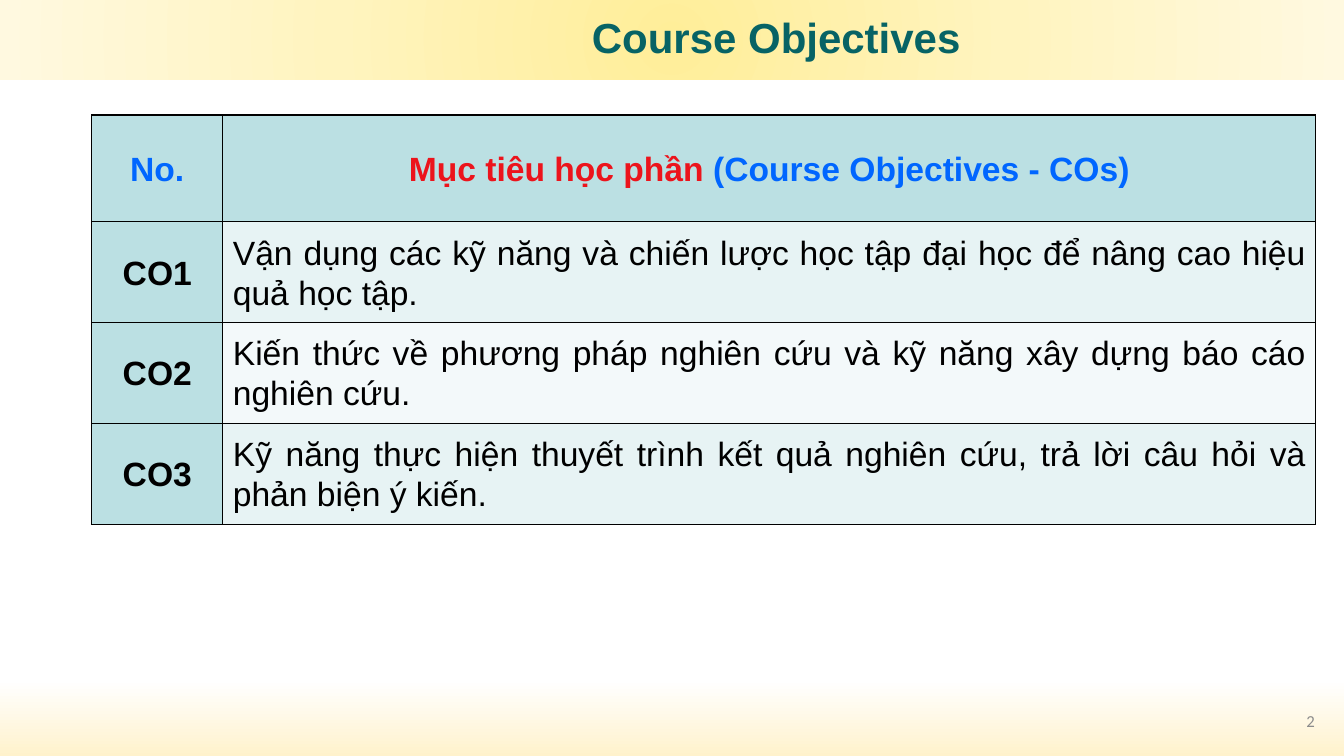
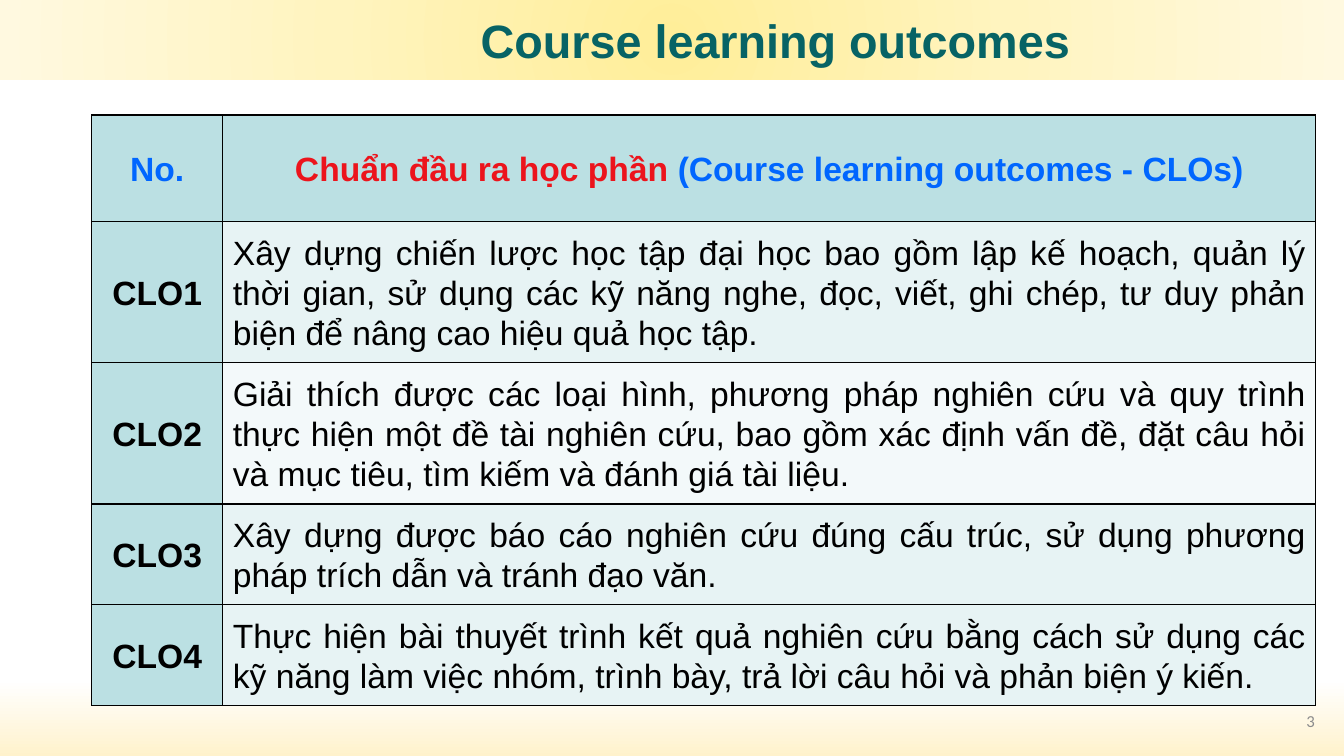
from dataclasses import dataclass

import pptx
import pptx.dml.color
import pptx.enum.shapes
import pptx.enum.text
import pptx.oxml
import pptx.oxml.ns
import pptx.util
from lxml import etree
from pptx.util import Inches

ALIGN = pptx.enum.text.PP_ALIGN
MIDDLE = pptx.enum.text.MSO_ANCHOR.MIDDLE
qn = pptx.oxml.ns.qn

# Shared colours
TEAL, BLUE, RED, BLACK, GREY = "076365", "0066FF", "EC141C", "000000", "8C8C8C"
HEADER_FILL, ROW_FILL, ALT_ROW_FILL = "BBE0E3", "E7F3F4", "F3F9FA"
BAND_STOPS = [(0, "FFEE99"), (50, "FFF4BF"), (100, "FFF9E0")]
PAGE_STOPS = [(90, "FFFFFF"), (100, "FFF2CC")]

# Shared table layout
COLUMN_WIDTHS = (1.3, 10.84)
HEADER_HEIGHT = 1.06
TWO_LINES, THREE_LINES = 1.0, 1.4


@dataclass
class Box:
    left: float
    top: float
    width: float
    height: float

    def lengths(self) -> tuple:
        return tuple(map(Inches, (self.left, self.top, self.width, self.height)))


@dataclass
class Run:
    text: str
    color: str = BLACK


@dataclass
class Style:
    size: float
    bold: bool = False
    font: str = "Arial"
    align: ALIGN = ALIGN.CENTER
    spacing: float = 1.0


@dataclass
class Row:
    code: str
    statement: str
    fill: str = ROW_FILL
    height: float = TWO_LINES


@dataclass
class Page:
    number: int
    title: str
    title_box: Box
    title_style: Style
    vietnamese: str
    english: str
    rows: list[Row]


LABEL = Style(24, bold=True, spacing=1.07)
STATEMENT = Style(24, align=ALIGN.JUSTIFY, spacing=1.07)
PAGE_NUMBER = Style(12, font="Calibri", align=ALIGN.RIGHT)


def rgb(color: str) -> pptx.dml.color.RGBColor:
    return pptx.dml.color.RGBColor.from_string(color)


def set_gradient(fill, owner, stops: list, direction: str) -> None:
    """Fill with gradient stops; direction is the a:lin or a:path element."""
    fill.gradient()
    gradient = owner.find(".//" + qn("a:gradFill"))
    for child in list(gradient):
        gradient.remove(child)
    stop_list = etree.SubElement(gradient, qn("a:gsLst"))
    for position, color in stops:
        stop = etree.SubElement(stop_list, qn("a:gs"), pos=str(position * 1000))
        etree.SubElement(stop, qn("a:srgbClr"), val=color)
    gradient.append(pptx.oxml.parse_xml(direction))


def write(frame, runs: list[Run], style: Style) -> None:
    paragraph = frame.paragraphs[0]
    paragraph.alignment = style.align
    paragraph.line_spacing = style.spacing
    paragraph.font.size = pptx.util.Pt(style.size)
    paragraph.font.name = style.font
    paragraph.font.bold = style.bold
    if len(runs) == 1:
        paragraph.font.color.rgb = rgb(runs[0].color)
    for part in runs:
        run = paragraph.add_run()
        run.text = part.text
        if len(runs) > 1:
            run.font.color.rgb = rgb(part.color)


def add_text(slide, box: Box, run: Run, style: Style) -> None:
    frame = slide.shapes.add_textbox(*box.lengths()).text_frame
    frame.word_wrap = True
    frame.vertical_anchor = MIDDLE
    write(frame, [run], style)


def fill_cell(cell, runs: list[Run], style: Style, fill: str, inset: float) -> None:
    cell.vertical_anchor = MIDDLE
    cell.margin_left = cell.margin_right = Inches(inset)
    cell.margin_top = cell.margin_bottom = Inches(inset / 2)
    properties = cell._tc.get_or_add_tcPr()
    for side in ("lnL", "lnR", "lnT", "lnB"):
        line = etree.SubElement(properties, qn(f"a:{side}"), w=str(pptx.util.Pt(1)))
        solid = etree.SubElement(line, qn("a:solidFill"))
        etree.SubElement(solid, qn("a:srgbClr"), val=BLACK)
    cell.fill.solid()
    cell.fill.fore_color.rgb = rgb(fill)
    write(cell.text_frame, runs, style)


def add_outcome_table(slide, page: Page) -> None:
    heights = [HEADER_HEIGHT, *(row.height for row in page.rows)]
    box = Box(0.91, 1.14, sum(COLUMN_WIDTHS), sum(heights))
    table = slide.shapes.add_table(len(heights), 2, *box.lengths()).table
    table.first_row = table.horz_banding = False
    for column, width in zip(table.columns, COLUMN_WIDTHS):
        column.width = Inches(width)
    for table_row, height in zip(table.rows, heights):
        table_row.height = Inches(height)

    heading = [Run(page.vietnamese + " ", RED), Run(page.english, BLUE)]
    fill_cell(table.cell(0, 0), [Run("No.", BLUE)], LABEL, HEADER_FILL, 0)
    fill_cell(table.cell(0, 1), heading, LABEL, HEADER_FILL, 0)
    for index, row in enumerate(page.rows, start=1):
        fill_cell(table.cell(index, 0), [Run(row.code)], LABEL, HEADER_FILL, 0)
        fill_cell(table.cell(index, 1), [Run(row.statement)], STATEMENT, row.fill, 0.1)


def add_page(prs, page: Page) -> None:
    slide = prs.slides.add_slide(prs.slide_layouts[6])
    namespace = pptx.oxml.ns.nsdecls("a")

    # Page background and title band
    set_gradient(slide.background.fill, slide.element, PAGE_STOPS,
                 f'<a:lin {namespace} ang="5400000" scaled="0"/>')
    band = slide.shapes.add_shape(pptx.enum.shapes.MSO_SHAPE.RECTANGLE,
                                  *Box(0, -0.01, 13.33, 0.8).lengths())
    band.shadow.inherit = False
    band.line.fill.background()
    set_gradient(band.fill, band.element, BAND_STOPS,
                 f'<a:path {namespace} path="circle"><a:fillToRect l="50000" '
                 't="50000" r="50000" b="50000"/></a:path>')

    # Title, page number and table
    add_text(slide, page.title_box, Run(page.title, TEAL), page.title_style)
    add_text(slide, Box(10.14, 6.95, 3, 0.4), Run(str(page.number), GREY), PAGE_NUMBER)
    add_outcome_table(slide, page)


PAGES = [
    Page(2, "Course Objectives", Box(2.6, 0.09, 10.2, 0.61),
         Style(30, bold=True, spacing=0.9),
         "Mục tiêu học phần", "(Course Objectives - COs)", [
             Row("CO1", "Vận dụng các kỹ năng và chiến lược học tập đại học để nâng cao "
                 "hiệu quả học tập."),
             Row("CO2", "Kiến thức về phương pháp nghiên cứu và kỹ năng xây dựng báo cáo "
                 "nghiên cứu.", ALT_ROW_FILL),
             Row("CO3", "Kỹ năng thực hiện thuyết trình kết quả nghiên cứu, trả lời câu hỏi "
                 "và phản biện ý kiến."),
         ]),
    Page(3, "Course learning outcomes", Box(2.58, 0.11, 10.22, 0.7),
         Style(33.4, bold=True, spacing=0.7),
         "Chuẩn đầu ra học phần", "(Course learning outcomes - CLOs)", [
             Row("CLO1", "Xây dựng chiến lược học tập đại học bao gồm lập kế hoạch, quản lý "
                 "thời gian, sử dụng các kỹ năng nghe, đọc, viết, ghi chép, tư duy phản biện "
                 "để nâng cao hiệu quả học tập.", height=THREE_LINES),
             Row("CLO2", "Giải thích được các loại hình, phương pháp nghiên cứu và quy trình "
                 "thực hiện một đề tài nghiên cứu, bao gồm xác định vấn đề, đặt câu hỏi và "
                 "mục tiêu, tìm kiếm và đánh giá tài liệu.", ALT_ROW_FILL, THREE_LINES),
             Row("CLO3", "Xây dựng được báo cáo nghiên cứu đúng cấu trúc, sử dụng phương pháp "
                 "trích dẫn và tránh đạo văn."),
             Row("CLO4", "Thực hiện bài thuyết trình kết quả nghiên cứu bằng cách sử dụng các "
                 "kỹ năng làm việc nhóm, trình bày, trả lời câu hỏi và phản biện ý kiến."),
         ]),
]


def main() -> None:
    prs = pptx.Presentation()
    prs.slide_width, prs.slide_height = Inches(13.33), Inches(7.5)
    for page in PAGES:
        add_page(prs, page)
    prs.save("out.pptx")


if __name__ == "__main__":
    main()
